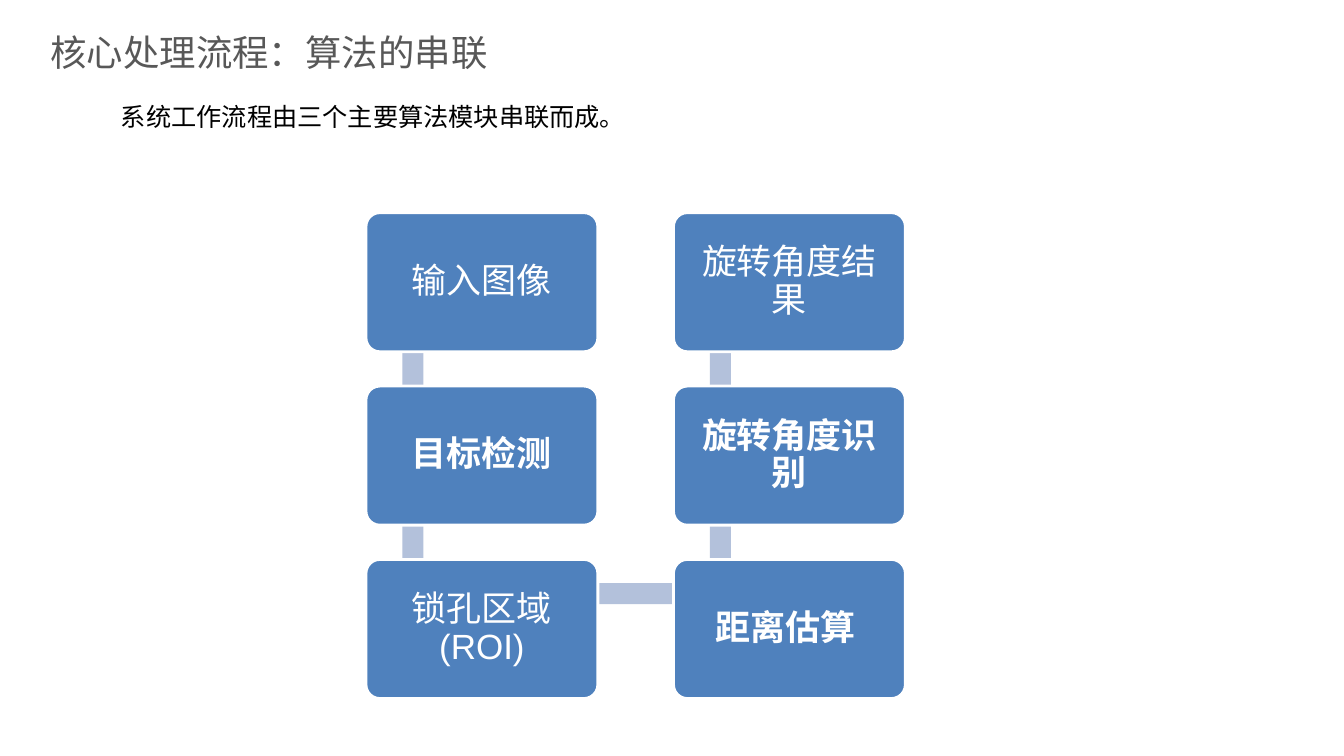
from dataclasses import dataclass
from itertools import pairwise
from math import atan2, degrees, hypot

from pptx import Presentation
from pptx import util as u
from pptx.dml import color
from pptx.enum import shapes, text


@dataclass(frozen=True)
class Theme:
    """Colours, font and type sizes of the slide."""
    font: str = "Arial"
    heading: str = "585858"
    body: str = "000000"
    box: str = "4F81BD"
    bar: str = "B3C1DB"
    white: str = "FFFFFF"
    heading_size: int = 26
    body_size: int = 18
    box_size: int = 25


class FlowPage:
    """Draws a snaking process flow on a grid of columns and rows."""
    left, top = 3.63, 2.11
    column_step, row_step = 3.05, 1.72
    box_width, box_height = 2.3, 1.38
    anchor_x, anchor_y = 0.465, 0.34
    bar_thickness = 0.21

    def __init__(self, deck, theme):
        self.page = deck.slides.add_slide(deck.slide_layouts[6])
        self.theme = theme

    def cell(self, column, row):
        return self.left + column * self.column_step, self.top + row * self.row_step

    def set_words(self, frame, words, size, colour, inset=0, bold=False):
        frame.text = words
        frame.word_wrap = True
        frame.margin_left = frame.margin_right = u.Inches(inset)
        frame.margin_top = frame.margin_bottom = u.Inches(inset)
        para = frame.paragraphs[0]
        for span in para.runs:
            span.font.name = self.theme.font
            span.font.size = u.Pt(size)
            span.font.bold = bold
            span.font.color.rgb = color.RGBColor.from_string(colour)
        return para

    def label(self, words, place, size, colour):
        box = self.page.shapes.add_textbox(*map(u.Inches, place))
        self.set_words(box.text_frame, words, size, colour)

    def block(self, kind, place, colour):
        block = self.page.shapes.add_shape(kind, *map(u.Inches, place))
        block.shadow.inherit = False
        block.fill.solid()
        block.fill.fore_color.rgb = color.RGBColor.from_string(colour)
        block.line.fill.background()
        return block

    def bar(self, start, end):
        (x1, y1), (x2, y2) = self.cell(*start), self.cell(*end)
        length = hypot(x2 - x1, y2 - y1)
        middle_x = (x1 + x2) / 2 + self.anchor_x
        middle_y = (y1 + y2) / 2 + self.anchor_y
        place = (middle_x - length / 2, middle_y - self.bar_thickness / 2,
                 length, self.bar_thickness)
        bar = self.block(shapes.MSO_SHAPE.RECTANGLE, place, self.theme.bar)
        bar.rotation = degrees(atan2(y2 - y1, x2 - x1)) % 360

    def step(self, words, spot, bold):
        place = (*self.cell(*spot), self.box_width, self.box_height)
        box = self.block(shapes.MSO_SHAPE.ROUNDED_RECTANGLE, place, self.theme.box)
        box.adjustments[0] = 0.1
        box.line.color.rgb = color.RGBColor.from_string(self.theme.white)
        box.line.width = u.Pt(2)
        para = self.set_words(box.text_frame, words, self.theme.box_size,
                              self.theme.white, 0.1, bold)
        box.text_frame.vertical_anchor = text.MSO_ANCHOR.MIDDLE
        para.alignment = text.PP_ALIGN.CENTER
        para.line_spacing = 0.9


STEPS = [
    ("输入图像", (0, 0), False),
    ("目标检测", (0, 1), True),
    ("锁孔区域 (ROI)", (0, 2), False),
    ("距离估算 ", (1, 2), True),
    ("旋转角度识别", (1, 1), True),
    ("旋转角度结果", (1, 0), False),
]


def main():
    deck = Presentation()
    deck.slide_width, deck.slide_height = u.Inches(13.33), u.Inches(7.5)
    theme = Theme()
    flow = FlowPage(deck, theme)
    flow.label("核心处理流程：算法的串联", (0.5, 0.3, 11.34, 0.44),
               theme.heading_size, theme.heading)
    flow.label("系统工作流程由三个主要算法模块串联而成。", (1.2, 1.01, 6.88, 0.61),
               theme.body_size, theme.body)
    for (_, start, _), (_, end, _) in pairwise(STEPS):
        flow.bar(start, end)
    for words, spot, bold in STEPS:
        flow.step(words, spot, bold)
    deck.save("out.pptx")


if __name__ == "__main__":
    main()
